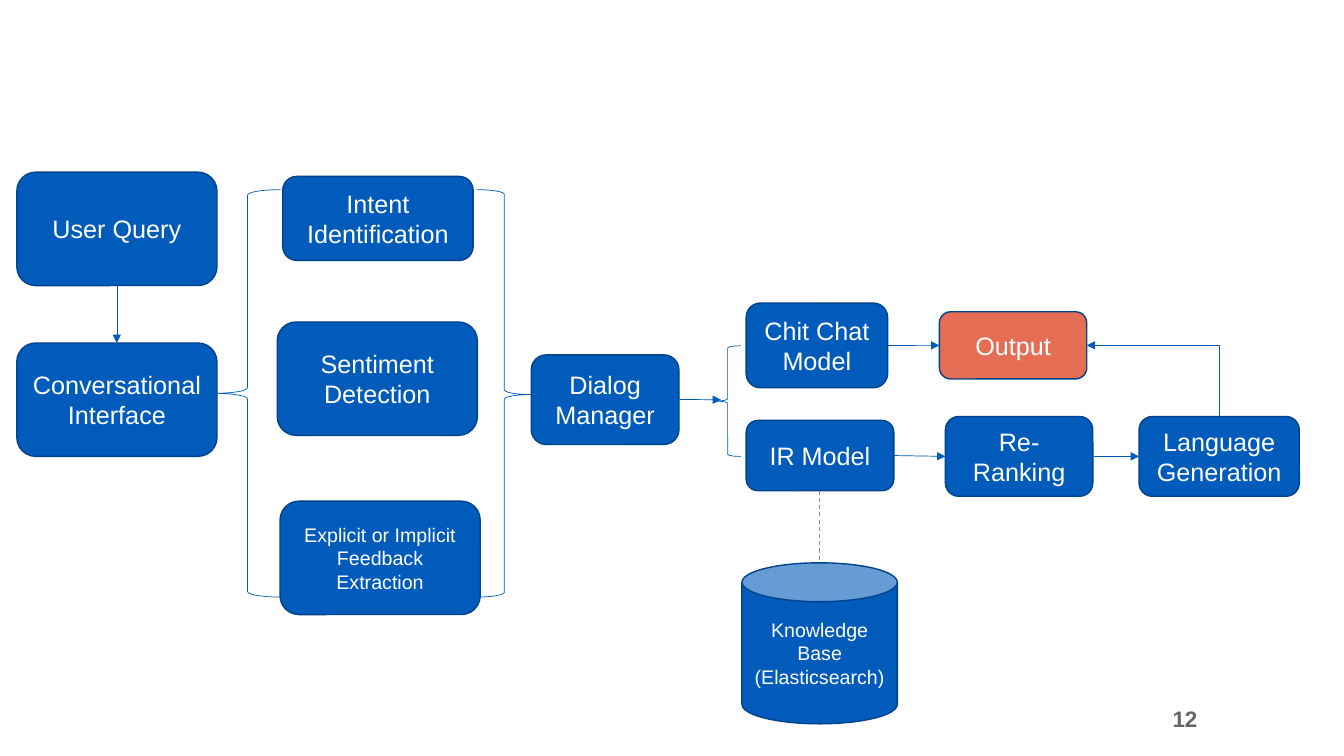
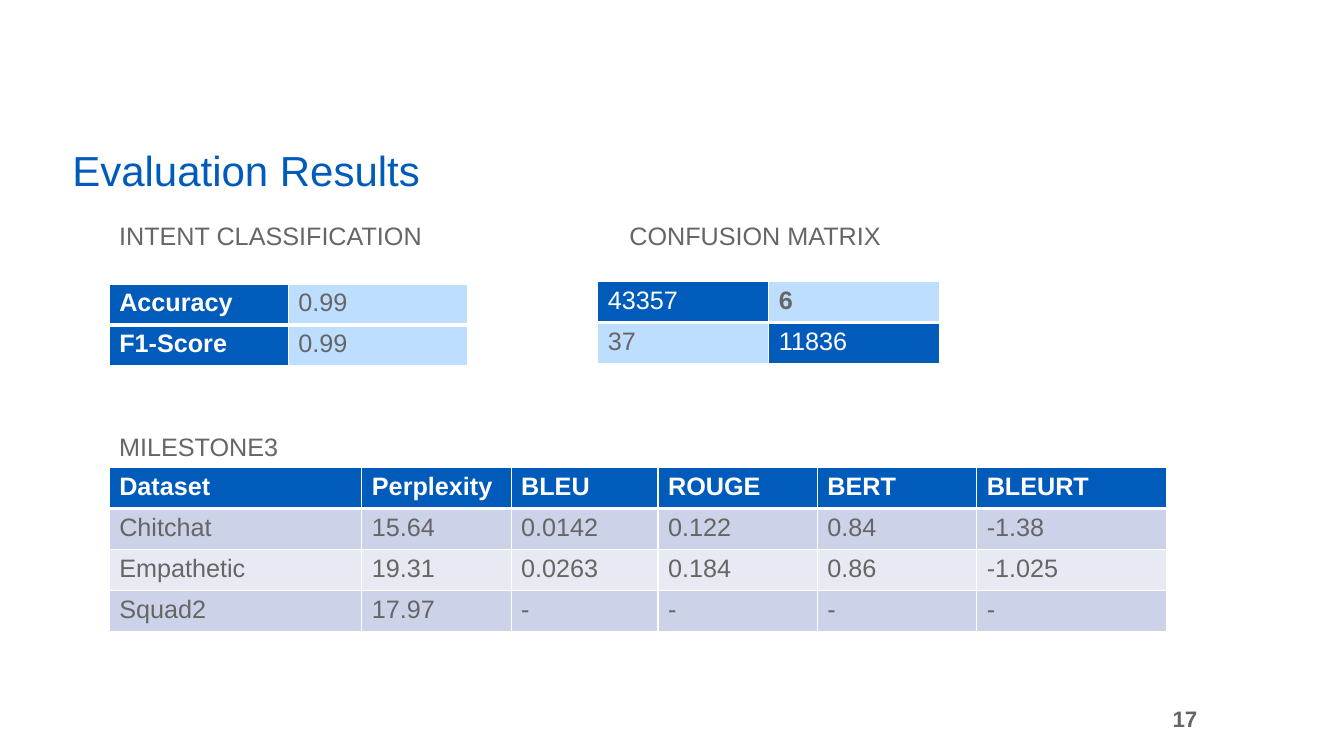
from pptx import Presentation
from pptx.dml.color import RGBColor
from pptx.enum.dml import MSO_LINE as Dash
from pptx.enum.shapes import MSO_CONNECTOR as Link, MSO_SHAPE as Shape
from pptx.enum.text import MSO_ANCHOR as Anchor, PP_ALIGN as Align
from pptx.oxml.ns import qn
from pptx.util import Pt
from lxml.etree import SubElement

BLUE, NAVY, PALE = "005BBB", "00438A", "BEDEFF"
BAND_DARK, BAND_LIGHT = "CCD2E7", "E7EAF3"
CORAL, GREY, DASH_GREY, WHITE = "E56D54", "666666", "8C8C8C", "FFFFFF"
FONT = "Arial"
TOP, LEFT, BOTTOM, RIGHT = range(4)  # connection sites of a box


def rgb(value):
    return RGBColor.from_string(value)


def boxed(x, y, w, h):
    return Pt(x), Pt(y), Pt(w), Pt(h)


class Deck:
    def __init__(self):
        self.prs = Presentation()
        self.prs.slide_width, self.prs.slide_height = Pt(960), Pt(540)
        self.s = None

    def slide(self, number):
        """Start a slide and put its number in the footer."""
        self.s = self.prs.slides.add_slide(self.prs.slide_layouts[6])
        tf = self.text(808, 492, 56.7, 42, number, 16, bold=True, align=Align.RIGHT)
        tf.vertical_anchor = Anchor.MIDDLE
        tf.margin_left = tf.margin_right = Pt(9.4)

    def add_text(self, tf, text, size, color, bold=False, align=Align.LEFT):
        p = tf.paragraphs[0]
        p.alignment = align
        r = p.add_run()
        r.text = text
        r.font.name, r.font.size, r.font.bold = FONT, Pt(size), bold
        r.font.color.rgb = rgb(color)

    def text(self, x, y, w, h, text, size=18, color=GREY, bold=False, align=Align.LEFT):
        tf = self.s.shapes.add_textbox(*boxed(x, y, w, h)).text_frame
        tf.word_wrap = True
        self.add_text(tf, text, size, color, bold, align)
        return tf

    def title(self, text):
        tf = self.text(44.6, 103.7, 828, 68, text, 30, BLUE)
        tf.paragraphs[0].line_spacing = 0.9

    def node(self, x, y, w, h, text, size=18, fill=BLUE, kind=Shape.ROUNDED_RECTANGLE):
        sp = self.s.shapes.add_shape(kind, *boxed(x, y, w, h))
        sp.shadow.inherit = False
        sp.fill.solid()
        sp.fill.fore_color.rgb = rgb(fill)
        sp.line.color.rgb, sp.line.width = rgb(NAVY), Pt(1)
        tf = sp.text_frame
        tf.word_wrap, tf.vertical_anchor = True, Anchor.MIDDLE
        self.add_text(tf, text, size, WHITE, align=Align.CENTER)
        return sp

    def brace(self, kind, x, y, w, h, middle=0.5):
        sp = self.s.shapes.add_shape(kind, *boxed(x, y, w, h))
        sp.shadow.inherit = False
        sp.fill.background()
        sp.line.color.rgb, sp.line.width = rgb(BLUE), Pt(0.5)
        sp.adjustments[1] = middle

    def line(self, x1, y1, x2, y2, kind=Link.STRAIGHT, color=BLUE, width=0.5,
             dash=None, end="tailEnd"):
        """Draw a connector; end names the arrowhead element, or None."""
        c = self.s.shapes.add_connector(kind, Pt(x1), Pt(y1), Pt(x2), Pt(y2))
        c.line.color.rgb, c.line.width = rgb(color), Pt(width)
        if dash:
            c.line.dash_style = dash
        props = c._element.spPr
        if end:
            SubElement(props.find(qn("a:ln")), qn("a:" + end), type="triangle")
        SubElement(props, qn("a:effectLst"))
        return c

    def corner(self, x1, y1, x2, y2):
        """Go right, then down, with the arrowhead at the start."""
        c = self.line(x1, y1, x2, y2, Link.ELBOW, end="headEnd")
        c._element.spPr.find(qn("a:prstGeom")).set("prst", "bentConnector2")

    def join(self, start, start_site, end, end_site):
        c = self.line(0, 0, 0, 0)
        c.begin_connect(start, start_site)
        c.end_connect(end, end_site)

    def borders(self, cell, row):
        """White rules, thicker under the first row."""
        props = cell._tc.get_or_add_tcPr()
        for side in "LRTB":
            thick = (side, row) in (("B", 0), ("T", 1))
            ln = SubElement(props, qn("a:ln" + side), w=str(Pt(3 if thick else 1)))
            SubElement(SubElement(ln, qn("a:solidFill")), qn("a:srgbClr"), val=WHITE)

    def table(self, x, y, widths, rows, look, row_height=29.2):
        """look(row, column) gives fill, text colour and bold."""
        size = sum(widths), row_height * len(rows)
        table = self.s.shapes.add_table(len(rows), len(widths), *boxed(x, y, *size)).table
        table.first_row = table.horz_banding = False
        for column, width in zip(table.columns, widths):
            column.width = Pt(width)
        for i, row in enumerate(rows):
            table.rows[i].height = Pt(row_height)
            for j, value in enumerate(row):
                cell = table.cell(i, j)
                fill, color, bold = look(i, j)
                self.borders(cell, i)
                cell.fill.solid()
                cell.fill.fore_color.rgb = rgb(fill)
                self.add_text(cell.text_frame, value, 18, color, bold)


def pipeline(d):
    d.slide("12")
    query = d.node(12, 123, 143, 81, "User Query")
    interface = d.node(12, 245, 143, 81, "Conversational Interface")
    d.node(198, 230, 143, 81, "Sentiment Detection")
    d.brace(Shape.LEFT_BRACE, 153, 135.5, 47.5, 291)
    d.node(200, 358, 143, 81, "Explicit or Implicit Feedback Extraction", 14)
    d.brace(Shape.RIGHT_BRACE, 340.5, 135.5, 39.5, 291, 0.503)
    d.node(202, 126, 136, 60, "Intent Identification")
    d.node(379.5, 253.5, 105.5, 64, "Dialog Manager")
    d.brace(Shape.LEFT_BRACE, 510.5, 247, 18.5, 79)
    d.line(485, 285.3, 515, 285.6)

    ir_model = d.node(533, 300.3, 105.5, 50.2, "IR Model")
    d.node(530, 402, 111, 115, "Knowledge Base (Elasticsearch)", 14, kind=Shape.CAN)
    d.line(585.5, 350.5, 585.5, 402, color=DASH_GREY, width=0.75, dash=Dash.DASH, end=None)
    chat = d.node(533, 216.5, 101, 60.5, "Chit Chat Model")
    output = d.node(671, 222.7, 105.3, 48, "Output", fill=CORAL)
    ranking = d.node(675.3, 297.5, 105.3, 57, "Re-Ranking")
    language = d.node(813.6, 297.5, 114.5, 57, "Language Generation")

    d.join(query, BOTTOM, interface, TOP)
    for start, end in ((ir_model, ranking), (ranking, language), (chat, output)):
        d.join(start, RIGHT, end, LEFT)
    d.corner(776.3, 246.7, 870.9, 297.5)


def results(d):
    def intent_look(i, j):
        return (PALE, GREY, False) if j else (BLUE, WHITE, True)

    def confusion_look(i, j):
        return (BLUE, WHITE, False) if i == j else (PALE, GREY, i == 0)

    def milestone_look(i, j):
        if i == 0:
            return BLUE, WHITE, True
        return (BAND_DARK if i % 2 else BAND_LIGHT), GREY, False

    d.slide("17")
    d.title("Evaluation Results")
    d.text(78, 154, 256, 29, "INTENT CLASSIFICATION")
    d.text(442.5, 154, 200, 29, "CONFUSION MATRIX")
    d.text(78, 304.5, 130, 29, "MILESTONE3")
    d.table(78, 202.8, [128] * 2,
            [["Accuracy", "0.99"], ["F1-Score", "0.99"]], intent_look)
    d.table(427, 201.2, [122.2] * 2,
            [["43357", "6"], ["37", "11836"]], confusion_look)
    d.table(78, 334, [180.5, 106.6, 105, 113.8, 113.8, 136], [
        ["Dataset", "Perplexity", "BLEU", "ROUGE", "BERT", "BLEURT"],
        ["Chitchat", "15.64", "0.0142", "0.122", "0.84", "-1.38"],
        ["Empathetic", "19.31", "0.0263", "0.184", "0.86", "-1.025"],
        ["Squad2", "17.97", "-", "-", "-", "-"],
    ], milestone_look)


def main():
    d = Deck()
    pipeline(d)
    results(d)
    d.prs.save("out.pptx")


if __name__ == "__main__":
    main()
